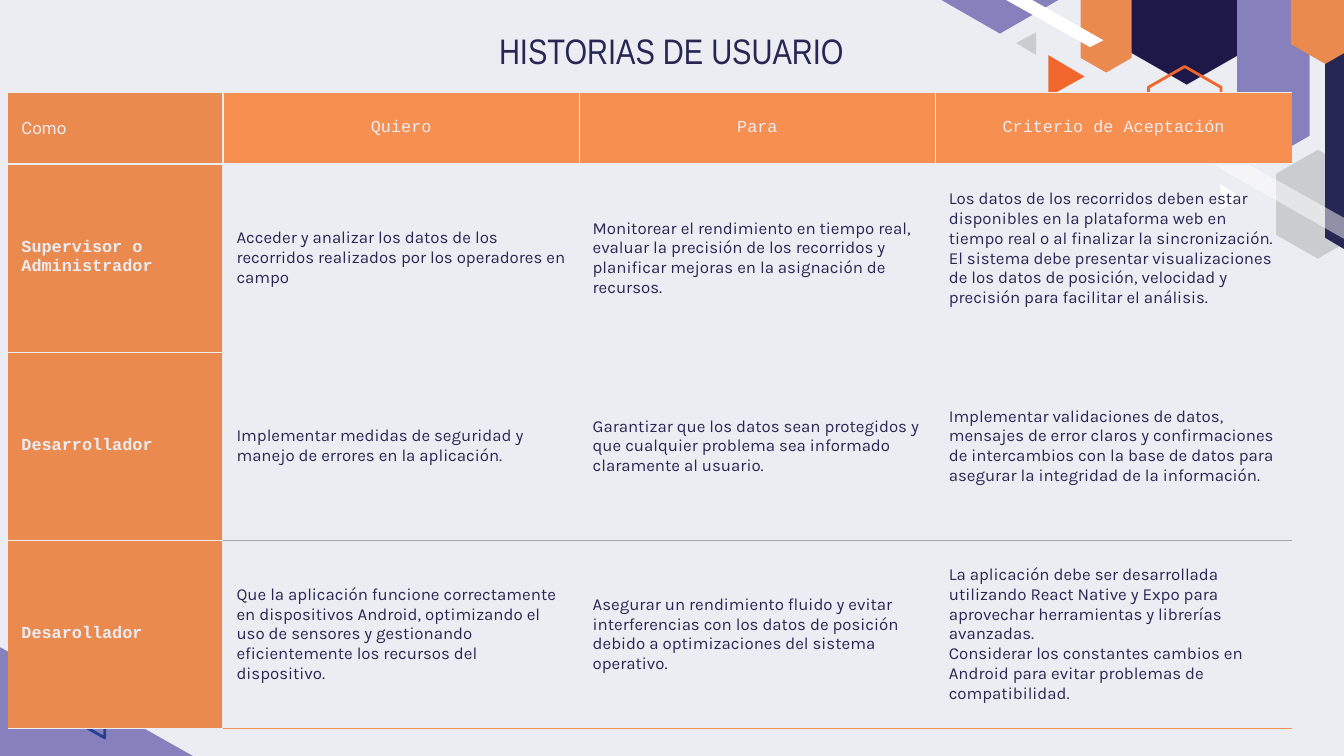
from lxml.etree import SubElement
from pptx import Presentation
from pptx.dml.color import RGBColor
from pptx.enum.shapes import MSO_SHAPE
from pptx.enum.text import MSO_ANCHOR, PP_ALIGN
from pptx.oxml.ns import qn
from pptx.util import Inches, Pt

PALE = RGBColor(0xEC, 0xED, 0xF3)
NAVY = RGBColor(0x27, 0x27, 0x53)
DARK = RGBColor(0x1D, 0x18, 0x48)
BLUE = RGBColor(0x25, 0x40, 0x8F)
PURPLE = RGBColor(0x86, 0x80, 0xBC)
GRAY = RGBColor(0xCA, 0xCD, 0xCF)
RULE = RGBColor(0xA5, 0xA5, 0xA5)
WHITE = RGBColor(0xFF, 0xFF, 0xFF)
ORANGE = RGBColor(0xEA, 0x8A, 0x4F)
HEADER = RGBColor(0xF6, 0x8F, 0x4F)
RED = RGBColor(0xF1, 0x66, 0x2D)

HEADS = ["Como", "Quiero", "Para", "Criterio de Aceptación"]
STORIES = [
    ["Supervisor o Administrador",
     "Acceder y analizar los datos de los recorridos realizados por los operadores en campo",
     "Monitorear el rendimiento en tiempo real, evaluar la precisión de los recorridos y "
     "planificar mejoras en la asignación de recursos.",
     "Los datos de los recorridos deben estar disponibles en la plataforma web en tiempo real "
     "o al finalizar la sincronización.\n"
     "El sistema debe presentar visualizaciones de los datos de posición, velocidad y "
     "precisión para facilitar el análisis."],
    ["Desarrollador",
     "Implementar medidas de seguridad y manejo de errores en la aplicación.",
     "Garantizar que los datos sean protegidos y que cualquier problema sea informado "
     "claramente al usuario.",
     "Implementar validaciones de datos, mensajes de error claros y confirmaciones de "
     "intercambios con la base de datos para asegurar la integridad de la información."],
    ["Desarollador",
     "Que la aplicación funcione correctamente en dispositivos Android, optimizando el uso de "
     "sensores y gestionando eficientemente los recursos del dispositivo.",
     "Asegurar un rendimiento fluido y evitar interferencias con los datos de posición debido "
     "a optimizaciones del sistema operativo.",
     "La aplicación debe ser desarrollada utilizando React Native y Expo para aprovechar "
     "herramientas y librerías avanzadas.\n"
     "Considerar los constantes cambios en Android para evitar problemas de compatibilidad."],
]


def paint(sp, fill, line):
    sp.shadow.inherit = False
    if fill is None:
        sp.fill.background()
    else:
        sp.fill.solid()
        sp.fill.fore_color.rgb = fill
    if line is None:
        sp.line.fill.background()
    else:
        sp.line.color.rgb = line
        sp.line.width = Pt(1.5)
    return sp


def hexagon(s, x, y, w, h, fill=None, line=None):
    sp = s.shapes.add_shape(MSO_SHAPE.HEXAGON, Inches(x), Inches(y), Inches(w), Inches(h))
    sp.adjustments[0] = 0.286
    sp.adjustments[1] = 1.155
    sp.rotation = 90
    return paint(sp, fill, line)


def polygon(s, x, y, points, fill=None, line=None):
    pts = [(Inches(x + dx), Inches(y + dy)) for dx, dy in points]
    builder = s.shapes.build_freeform(*pts[0], scale=1.0)
    builder.add_line_segments(pts[1:], close=True)
    return paint(builder.convert_to_shape(), fill, line)


def top_corner(s, x, y):
    hexagon(s, x + 1.3, y - 0.37, 1.06, 0.94, DARK)
    hexagon(s, x + 2.4, y + 1.21, 0.81, 0.62, GRAY)
    polygon(s, x, y, [(0.44, -0.29), (0.91, -0.02), (0.44, 0.25), (-0.03, -0.02)], PURPLE)
    polygon(s, x, y, [(0.8, 0.41), (1.07, 0.57), (0.8, 0.72)], RED)
    polygon(s, x, y, [(2.08, 1.37), (2.24, 1.47), (2.08, 1.56)], WHITE)
    polygon(s, x, y, [(0.71, 0.24), (0.71, 0.41), (0.56, 0.32)], GRAY)
    polygon(s, x, y, [(2.86, -0.33), (3.13, -0.17), (3.13, 1.93), (2.86, 1.77)], NAVY)
    band = polygon(s, x, y, [(2.14, 1.14), (3.32, 1.8), (3.18, 1.88), (2, 1.21)], WHITE)
    color = band.fill._xPr.find(qn("a:solidFill"))[0]
    SubElement(color, qn("a:alpha"), val="49000")
    hexagon(s, x + 0.85, y - 0.03, 0.76, 0.38, ORANGE)
    polygon(s, x, y, [(0.38, -0.17), (1.21, 0.3), (1.11, 0.35), (0.29, -0.11)], WHITE)
    hexagon(s, x + 1.64, y + 0.06, 1.67, 0.54, PURPLE)
    hexagon(s, x + 2.35, y - 0.29, 1.02, 0.51, ORANGE)
    hexagon(s, x + 1.51, y + 0.53, 0.61, 0.54, line=RED)


def bottom_corner(s, x, y):
    polygon(s, x, y, [(-0.01, 0), (-1.48, 0.83), (-0.01, 1.67), (1.46, 0.83)], PURPLE)
    polygon(s, x, y, [(0.78, 0.16), (0.32, 0.42), (0.78, 0.68)], line=BLUE)


def style(p, font, color, size, bold=False):
    for r in p.runs:
        r.font.name = font
        r.font.size = Pt(size)
        r.font.bold = bold
        r.font.color.rgb = color


def title(s, x, y, w, h):
    tf = s.shapes.add_textbox(Inches(x), Inches(y), Inches(w), Inches(h)).text_frame
    tf.word_wrap = True
    tf.margin_left = tf.margin_right = tf.margin_top = tf.margin_bottom = Inches(0.1)
    tf.text = "HISTORIAS DE USUARIO"
    p = tf.paragraphs[0]
    p.alignment = PP_ALIGN.CENTER
    style(p, "Arial Narrow", NAVY, 19)


def set_borders(cell, **colors):
    tcPr = cell._tc.get_or_add_tcPr()
    for i, side in enumerate("LRTB"):
        ln = tcPr.makeelement(qn(f"a:ln{side}"), {"w": str(Pt(0.75))})
        color = colors.get(side)
        if color is None:
            SubElement(ln, qn("a:noFill"))
        else:
            fill = SubElement(ln, qn("a:solidFill"))
            SubElement(fill, qn("a:srgbClr"), val=str(color))
        tcPr.insert(i, ln)


def fill_cell(cell, text, row, col):
    cell.text = text
    cell.vertical_anchor = MSO_ANCHOR.MIDDLE
    cell.margin_left = cell.margin_right = Inches(0.1)
    cell.margin_top = cell.margin_bottom = Inches(0 if row and not col else 0.1)
    if row and col:
        cell.fill.background()
    else:
        cell.fill.solid()
        cell.fill.fore_color.rgb = HEADER if col else ORANGE
    for p in cell.text_frame.paragraphs:
        if row == 0 and col:
            p.alignment = PP_ALIGN.CENTER
        if row and col:
            style(p, "Karla", NAVY, 9)
        else:
            style(p, "Courier New" if row or col else "Roboto", PALE, 9, bold=row > 0)


def story_table(s, x, y, w, h):
    rows = [HEADS] + STORIES
    label_w, head_h = 1.6, 0.53
    table = s.shapes.add_table(len(rows), len(HEADS), Inches(x), Inches(y),
                               Inches(w), Inches(h)).table
    table.horz_banding = False
    for i, column in enumerate(table.columns):
        column.width = Inches((w - label_w) / 3 if i else label_w)
    for i, row in enumerate(table.rows):
        row.height = Inches((h - head_h) / 3 if i else head_h)
    rules = [PALE, PALE, PALE, RULE, HEADER]
    for i, texts in enumerate(rows):
        for j, text in enumerate(texts):
            cell = table.cell(i, j)
            fill_cell(cell, text, i, j)
            top, bottom = (rules[i], rules[i + 1]) if j else (PALE, PALE)
            left = PALE if j == 1 or (j and i == 0) else None
            right = PALE if j == 0 or (i == 0 and j < 3) else None
            set_borders(cell, L=left, R=right, T=top, B=bottom)
    table.cell(1, 3).margin_bottom = Inches(0.24)


def main():
    prs = Presentation()
    prs.slide_width = Inches(10)
    prs.slide_height = prs.slide_width * 9 // 16
    s = prs.slides.add_slide(prs.slide_layouts[6])
    s.background.fill.solid()
    s.background.fill.fore_color.rgb = PALE
    top_corner(s, 7, 0)
    bottom_corner(s, 0, 4.81)
    title(s, 1.27, 0.12, 7.45, 0.63)
    story_table(s, 0.06, 0.69, 9.55, 4.73)
    prs.save("out.pptx")


if __name__ == "__main__":
    main()
